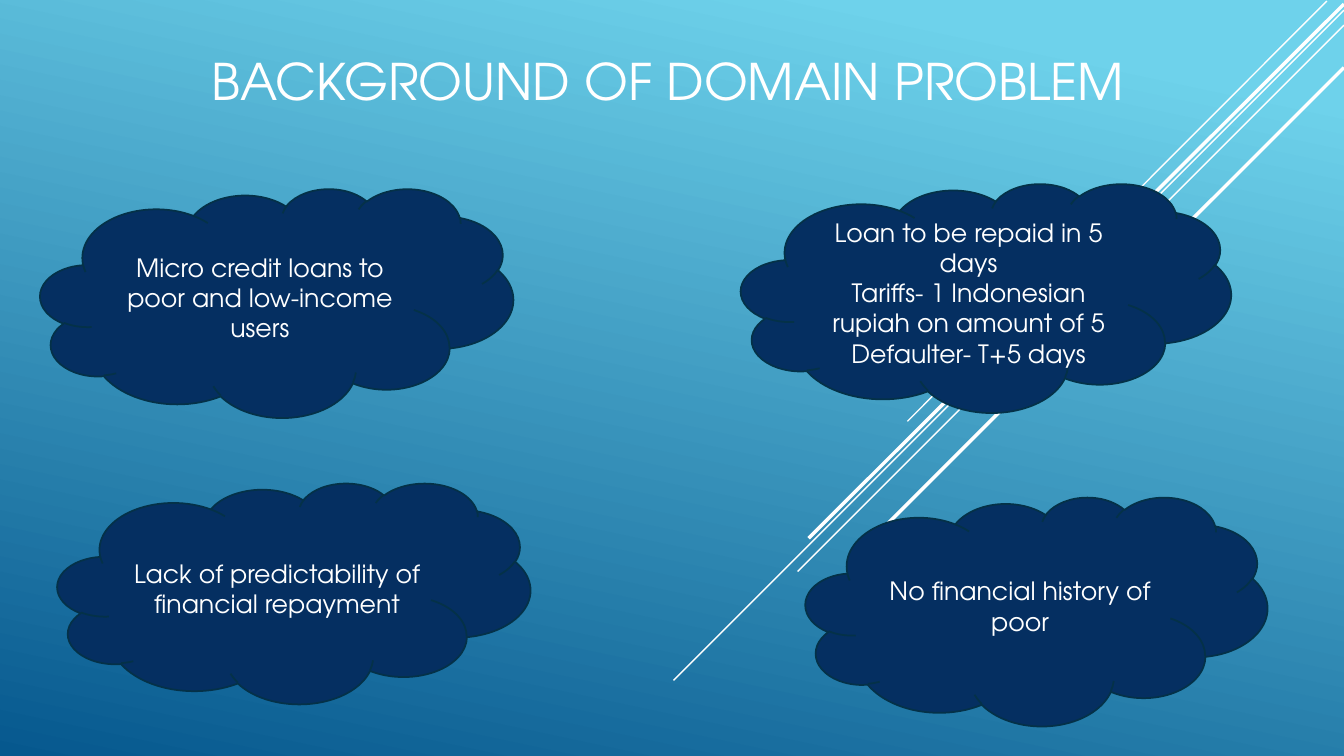
from lxml.etree import SubElement
from pptx import Presentation
from pptx.dml.color import RGBColor
from pptx.enum.shapes import MSO_CONNECTOR, MSO_SHAPE
from pptx.enum.text import MSO_ANCHOR, PP_ALIGN
from pptx.oxml.ns import qn
from pptx.util import Inches, Pt

WHITE = RGBColor(0xFF, 0xFF, 0xFF)
SKY = RGBColor(0x6E, 0xD2, 0xEB)
OCEAN = RGBColor(0x06, 0x58, 0x8E)
NAVY = RGBColor(0x05, 0x2F, 0x61)
NAVY_EDGE = RGBColor(0x04, 0x31, 0x48)

RAYS = [
    ((13.16, 0.01), (9, 4.18), 1),
    ((13.33, 0.1), (6.68, 6.75), 1),
    ((13.33, 0.25), (7.91, 5.67), 1),
    ((13.33, 0.04), (8.02, 5.34), 2.5),
    ((13.33, 0.67), (8.58, 5.42), 2.5),
]

CLOUDS = [
    ((0.4, 1.87, 4.69, 2.27), ["Micro credit loans to poor and low-income users"]),
    ((7.35, 1.82, 4.86, 2.27), [
        "Loan to be repaid in 5 days",
        "Tariffs- 1 Indonesian rupiah on amount of 5",
        "Defaulter- T+5 days",
    ]),
    ((0.57, 4.79, 4.69, 2.19), ["Lack of predictability of financial repayment"]),
    ((7.99, 4.93, 4.58, 2.27), ["No financial history of poor"]),
]


class SlideBuilder:
    font_name = "TeX Gyre Adventor"

    def __init__(self, slide):
        self.slide = slide

    def background(self, start, end):
        fill = self.slide.background.fill
        fill.gradient()
        fill.gradient_angle = 258
        for stop, (position, color) in zip(fill.gradient_stops, (start, end)):
            stop.position = position
            stop.color.rgb = color

    def ray(self, top, bottom, width):
        ends = [Inches(value) for value in top + bottom]
        ray = self.slide.shapes.add_connector(MSO_CONNECTOR.STRAIGHT, *ends)
        ray.line.color.rgb = WHITE
        ray.line.width = Pt(width)
        SubElement(ray._element.spPr, qn("a:effectLst"))

    def add_lines(self, frame, lines, size, align, anchor):
        frame.word_wrap = True
        frame.vertical_anchor = anchor
        for index, line in enumerate(lines):
            paragraph = frame.add_paragraph() if index else frame.paragraphs[0]
            paragraph.alignment = align
            run = paragraph.add_run()
            run.text = line
            run.font.name = self.font_name
            run.font.size = Pt(size)
            run.font.color.rgb = WHITE

    def title(self, box, text):
        title = self.slide.shapes.add_textbox(*map(Inches, box))
        self.add_lines(title.text_frame, [text], 36, PP_ALIGN.LEFT, MSO_ANCHOR.BOTTOM)

    def cloud(self, box, lines):
        cloud = self.slide.shapes.add_shape(MSO_SHAPE.CLOUD, *map(Inches, box))
        cloud.shadow.inherit = False
        cloud.fill.solid()
        cloud.fill.fore_color.rgb = NAVY
        cloud.line.color.rgb = NAVY_EDGE
        cloud.line.width = Pt(1.25)
        self.add_lines(cloud.text_frame, lines, 18, PP_ALIGN.CENTER, MSO_ANCHOR.MIDDLE)


def main():
    deck = Presentation()
    deck.slide_width = Inches(13.33)
    deck.slide_height = Inches(7.5)
    builder = SlideBuilder(deck.slides.add_slide(deck.slide_layouts[6]))
    builder.background((0.1, SKY), (1, OCEAN))
    for top, bottom, width in RAYS:
        builder.ray(top, bottom, width)
    builder.title((2, 0.13, 12.39, 1.02), "BACKGROUND OF DOMAIN PROBLEM")
    for box, lines in CLOUDS:
        builder.cloud(box, lines)
    deck.save("out.pptx")


if __name__ == "__main__":
    main()
